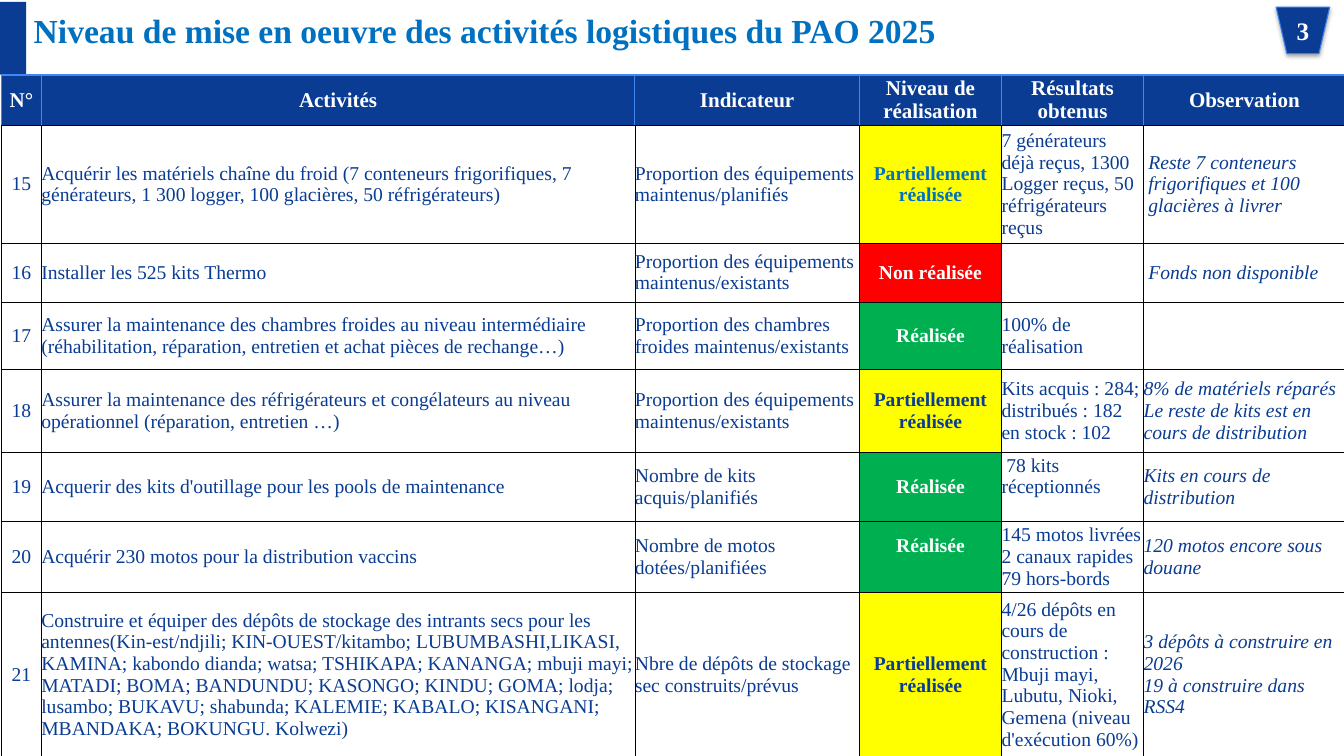
from dataclasses import dataclass

from lxml.etree import SubElement
from pptx import Presentation
from pptx.dml.color import RGBColor as Rgb
from pptx.enum.shapes import MSO_SHAPE as Preset
from pptx.enum.text import MSO_ANCHOR as Anchor, PP_ALIGN as Align
from pptx.oxml.ns import qn
from pptx.util import Cm, Pt


@dataclass(frozen=True)
class Theme:
    font: str = "Times New Roman"
    navy: str = "093C92"
    blue: str = "0070C0"
    badge_edge: str = "3C81F3"
    header_edge: str = "4285F4"
    white: str = "FFFFFF"
    black: str = "000000"
    yellow: str = "FFFF00"
    red: str = "FF0000"
    green: str = "00B050"
    title_size: int = 24
    badge_size: int = 18
    header_size: int = 15
    body_size: int = 14


THEME = Theme()

# Status label -> (fill, text colour)
STATUSES = {
    "Partiellement réalisée": (THEME.yellow, THEME.navy),
    "Non réalisée": (THEME.red, THEME.white),
    "Réalisée": (THEME.green, THEME.white),
}

HEADERS = ["N°", "Activités", "Indicateur", "Niveau de réalisation",
           "Résultats obtenus", "Observation"]
COLUMN_WIDTHS = [1, 14.96, 5.66, 3.58, 3.58, 5.08]
ROW_HEIGHTS = [1.22, 2.84, 1.48, 1.7, 2.1, 1.64, 1.64, 3.86]
STATUS_COLUMN, RESULT_COLUMN, REMARK_COLUMN = 3, 4, 5

ACTIVITIES = [
    ["15", "Acquérir les matériels chaîne du froid (7 conteneurs frigorifiques, 7 générateurs, "
     "1 300 logger, 100 glacières, 50 réfrigérateurs)",
     "Proportion des équipements maintenus/planifiés", "Partiellement réalisée",
     "7 générateurs déjà reçus, 1300 Logger reçus, 50 réfrigérateurs reçus",
     "Reste 7 conteneurs\nfrigorifiques et 100\nglacières à livrer"],
    ["16", "Installer les 525 kits Thermo",
     "Proportion des équipements maintenus/existants", "Non réalisée",
     "", "Fonds non disponible"],
    ["17", "Assurer la maintenance des chambres froides au niveau intermédiaire "
     "(réhabilitation, réparation, entretien et achat pièces de rechange…)",
     "Proportion des chambres froides maintenus/existants", "Réalisée",
     "100% de réalisation", ""],
    ["18", "Assurer la maintenance des réfrigérateurs et congélateurs au niveau "
     "opérationnel (réparation, entretien …)",
     "Proportion des équipements maintenus/existants", "Partiellement réalisée",
     "Kits acquis : 284;\ndistribués : 182\nen stock : 102",
     "8% de matériels réparés\nLe reste de kits est en cours de distribution"],
    ["19", "Acquerir des kits d'outillage pour les pools de maintenance",
     "Nombre de kits acquis/planifiés", "Réalisée",
     "78 kits réceptionnés", "Kits en cours de distribution"],
    ["20", "Acquérir 230 motos pour la distribution vaccins",
     "Nombre de motos dotées/planifiées", "Réalisée",
     "145 motos livrées\n2 canaux rapides\n79 hors-bords",
     "120 motos encore sous douane"],
    ["21", "Construire et équiper des dépôts de stockage des intrants secs pour les "
     "antennes(Kin-est/ndjili; KIN-OUEST/kitambo; LUBUMBASHI,LIKASI, KAMINA; kabondo dianda; "
     "watsa; TSHIKAPA; KANANGA; mbuji mayi; MATADI; BOMA; BANDUNDU; KASONGO; KINDU; GOMA; "
     "lodja; lusambo; BUKAVU; shabunda; KALEMIE; KABALO; KISANGANI; MBANDAKA; BOKUNGU. Kolwezi)",
     "Nbre de dépôts de stockage sec construits/prévus", "Partiellement réalisée",
     "4/26 dépôts en cours de construction : Mbuji mayi, Lubutu, Nioki, Gemena "
     "(niveau d'exécution 60%)",
     "3 dépôts à construire en 2026\n19 à construire dans RSS4"],
]

# Cells that depart from their column's format, by (activity number, column)
EXCEPTIONS = {
    ("15", STATUS_COLUMN): {"color": THEME.blue},
    ("15", REMARK_COLUMN): {"indent": Cm(0.12)},
    ("16", REMARK_COLUMN): {"indent": Cm(0.12)},
    ("19", RESULT_COLUMN): {"indent": Cm(0.12), "lift": Cm(0.55)},
    ("20", STATUS_COLUMN): {"lift": Cm(0.55)},
}


def write(frame, text, size, color, bold=False, italic=False, align=Align.LEFT, indent=0):
    """Write one paragraph per line of text."""
    frame.word_wrap = True
    for number, line in enumerate(text.split("\n")):
        para = frame.add_paragraph() if number else frame.paragraphs[0]
        para.alignment = align
        if indent:
            para._p.get_or_add_pPr().set("indent", str(int(indent)))
        para.font.size = Pt(size)
        if not line:
            continue
        span = para.add_run()
        span.text = line
        span.font.name, span.font.size = THEME.font, Pt(size)
        span.font.bold, span.font.italic = bold, italic
        span.font.color.rgb = Rgb.from_string(color)


def clear_margins(holder):
    holder.margin_left = holder.margin_top = holder.margin_right = holder.margin_bottom = 0


def paint(shape, fill, edge=None):
    shape.shadow.inherit = False
    shape.fill.solid()
    shape.fill.fore_color.rgb = Rgb.from_string(fill)
    if edge:
        shape.line.color.rgb = Rgb.from_string(edge)
        shape.line.width = Pt(0.75)
    else:
        shape.line.fill.background()


def cast_shadow(shape):
    effects = shape._element.spPr.find(qn("a:effectLst"))
    shadow = SubElement(effects, qn("a:outerShdw"), blurRad=str(Pt(3.1)), dist=str(Pt(1.8)),
                        dir="5400000", rotWithShape="0")
    color = SubElement(shadow, qn("a:srgbClr"), val=THEME.black)
    SubElement(color, qn("a:alpha"), val="35000")


def add_title_band(page, left, top, width, height):
    # Side bar
    bar = page.shapes.add_shape(Preset.RECTANGLE, left, top + Cm(0.05), Cm(0.66), height)
    paint(bar, THEME.navy)
    # Title
    box = page.shapes.add_textbox(left + Cm(0.85), top + Cm(0.25), width - Cm(2.55), Cm(1.47))
    clear_margins(box.text_frame)
    write(box.text_frame, "Niveau de mise en oeuvre des activités logistiques du PAO 2025",
          THEME.title_size, THEME.blue, bold=True)
    # Page number badge
    badge = page.shapes.add_shape(Preset.FLOWCHART_MANUAL_OPERATION, left + width - Cm(1.71),
                                  top + Cm(0.18), Cm(1.35), Cm(1.17))
    paint(badge, THEME.navy, THEME.badge_edge)
    cast_shadow(badge)
    clear_margins(badge.text_frame)
    badge.text_frame.vertical_anchor = Anchor.MIDDLE
    write(badge.text_frame, "3", THEME.badge_size, THEME.white, bold=True, align=Align.CENTER)


def set_borders(cell, edges):
    """Draw the borders given as side -> (colour, points)."""
    for side, (color, points) in edges.items():
        line = SubElement(cell._tc.get_or_add_tcPr(), qn(f"a:ln{side}"), w=str(Pt(points)))
        SubElement(SubElement(line, qn("a:solidFill")), qn("a:srgbClr"), val=color)


def fill_cell(cell, text, fill=None, edges=None, lift=0, **style):
    clear_margins(cell)
    cell.margin_bottom = lift
    cell.vertical_anchor = Anchor.MIDDLE
    set_borders(cell, edges or dict.fromkeys("LRTB", (THEME.black, 0.5)))
    if fill:
        cell.fill.solid()
        cell.fill.fore_color.rgb = Rgb.from_string(fill)
    else:
        cell.fill.background()
    write(cell.text_frame, text, **style)


def add_activity_table(page, left, top, width, height):
    table = page.shapes.add_table(len(ROW_HEIGHTS), len(HEADERS), left, top, width, height).table
    table.first_row = table.horz_banding = False
    for column, size in zip(table.columns, COLUMN_WIDTHS):
        column.width = Cm(size)
    for row, size in zip(table.rows, ROW_HEIGHTS):
        row.height = Cm(size)

    # Header row
    edges = dict.fromkeys("LRT", (THEME.header_edge, 1)) | {"B": (THEME.black, 0.5)}
    for column, text in enumerate(HEADERS):
        fill_cell(table.cell(0, column), text, fill=THEME.navy, edges=edges,
                  size=THEME.header_size, color=THEME.white, bold=True, align=Align.CENTER)

    # Activity rows
    for row, activity in enumerate(ACTIVITIES, start=1):
        for column, text in enumerate(activity):
            style = {"size": THEME.body_size, "color": THEME.navy}
            if column in (0, STATUS_COLUMN):
                style["align"] = Align.CENTER
            if column == STATUS_COLUMN:
                fill, color = STATUSES[text]
                style.update(fill=fill, color=color, bold=True)
            style["italic"] = column == REMARK_COLUMN
            style.update(EXCEPTIONS.get((activity[0], column), {}))
            fill_cell(table.cell(row, column), text, **style)


def main():
    deck = Presentation()
    deck.slide_width, deck.slide_height = Cm(33.87), Cm(19.05)
    page = deck.slides.add_slide(deck.slide_layouts[6])
    add_title_band(page, 0, 0, deck.slide_width, Cm(1.83))
    add_activity_table(page, Cm(0.04), Cm(1.89), Cm(sum(COLUMN_WIDTHS)), Cm(sum(ROW_HEIGHTS)))
    deck.save("out.pptx")


if __name__ == "__main__":
    main()
